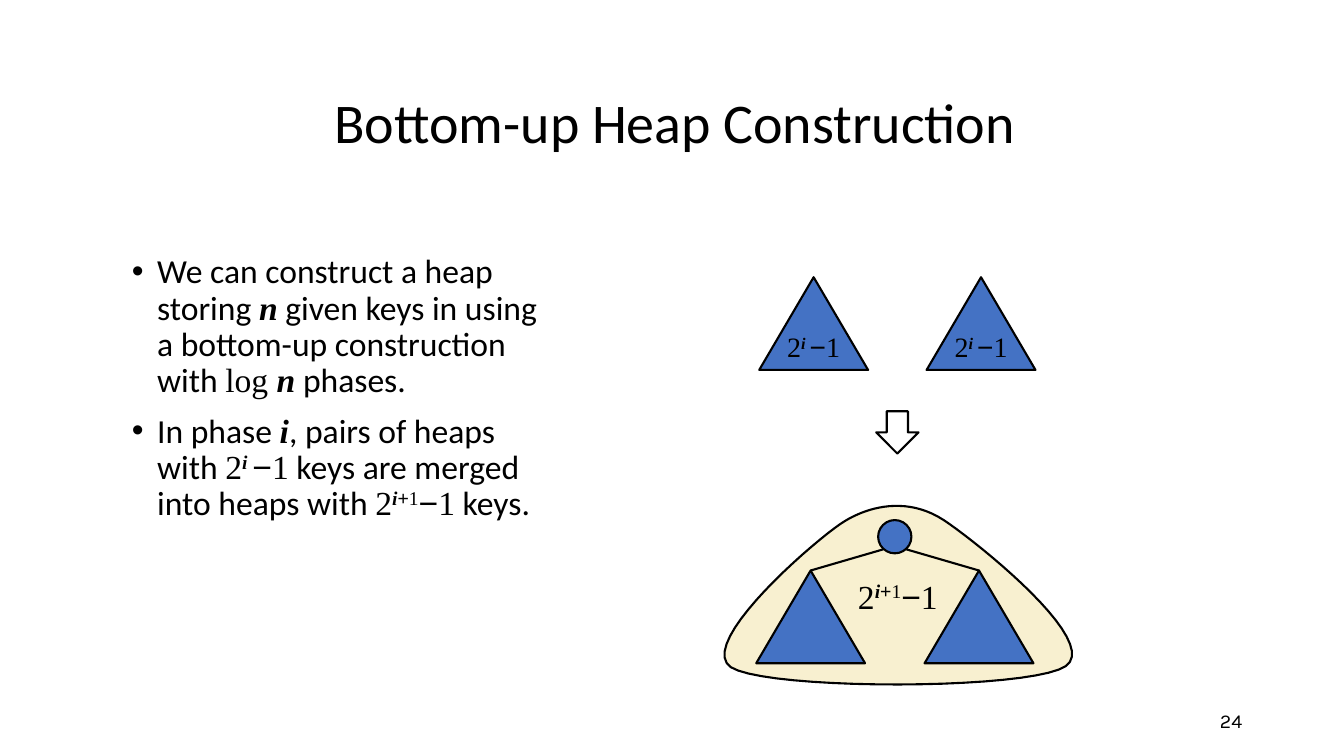
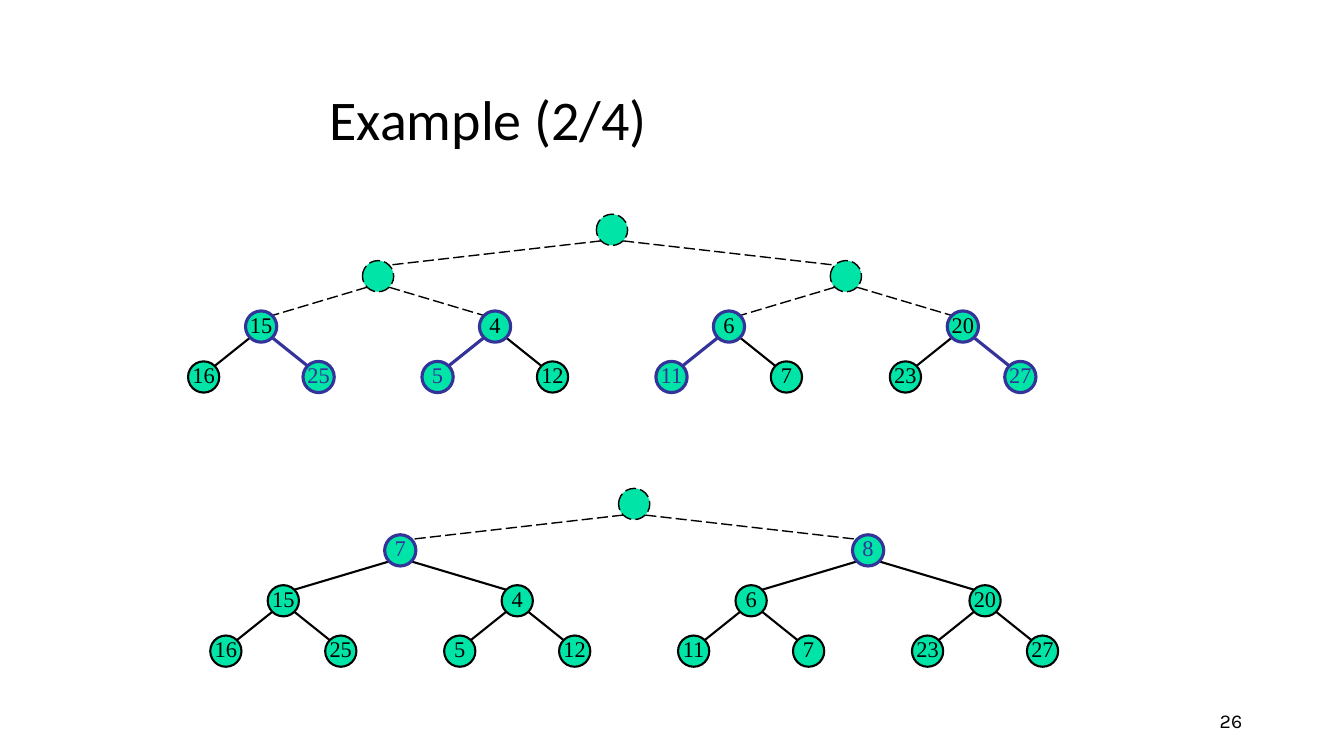
from lxml import etree
from pptx import Presentation
from pptx.dml.color import RGBColor
from pptx.enum.dml import MSO_LINE
from pptx.enum.shapes import MSO_CONNECTOR, MSO_SHAPE
from pptx.enum.text import MSO_ANCHOR, PP_ALIGN
from pptx.oxml.ns import qn
from pptx.util import Inches, Pt

TRIANGLE, ELLIPSE = MSO_SHAPE.ISOSCELES_TRIANGLE, MSO_SHAPE.OVAL
DOWN_ARROW, STRAIGHT = MSO_SHAPE.DOWN_ARROW, MSO_CONNECTOR.STRAIGHT
LONG_DASH = MSO_LINE.LONG_DASH
TOP, MIDDLE = MSO_ANCHOR.TOP, MSO_ANCHOR.MIDDLE
LEFT, CENTER, RIGHT = PP_ALIGN.LEFT, PP_ALIGN.CENTER, PP_ALIGN.RIGHT

BLACK = RGBColor(0x00, 0x00, 0x00)
BLUE = RGBColor(0x44, 0x72, 0xC4)
CREAM = RGBColor(0xF8, 0xF0, 0xD0)
GREEN = RGBColor(0x00, 0xE4, 0xA8)
INDIGO = RGBColor(0x33, 0x33, 0x99)

SANS, SERIF, SIGN, NUMBER = "Calibri", "Times New Roman", "Arial", "Karla"

# Line styles: colour, width in points, dash
SOLID = (BLACK, 1.5, None)
ACTIVE = (INDIGO, 2.25, None)
PENDING = (BLACK, 1, LONG_DASH)

# Run styles: font, bold italic, superscript
PLAIN = (SANS, False, False)
MATH = (SERIF, False, False)
VARIABLE = (SERIF, True, False)
MINUS = (SIGN, False, False)
POWER = (SERIF, False, True)
POWER_VARIABLE = (SERIF, True, True)
POWER_SIGN = (SIGN, False, True)

HEAP_SIZE = [("2", MATH), ("i ", POWER_VARIABLE), ("−", MINUS), ("1", MATH)]
MERGED_SIZE = [("2", MATH), ("i", POWER_VARIABLE), ("+", POWER_SIGN),
               ("1", POWER), ("−", MINUS), ("1", MATH)]


class Deck:
    def __init__(self):
        self.presentation = Presentation()
        self.presentation.slide_width = Inches(13.33)
        self.presentation.slide_height = Inches(7.5)
        self.slide = None

    def new_slide(self, title, title_box, number):
        blank = self.presentation.slide_layouts[6]
        self.slide = self.presentation.slides.add_slide(blank)
        self.text([(title, PLAIN)], title_box, 40, anchor=MIDDLE, spacing=0.9)
        self.text([(number, (NUMBER, False, False))], (9.42, 6.95, 3, 0.4),
                  14, align=RIGHT, anchor=MIDDLE)

    def add_runs(self, paragraph, runs, size, color=BLACK, align=LEFT):
        paragraph.alignment = align
        paragraph.font.size = Pt(size)
        paragraph.font.color.rgb = color
        for words, (font, emphasis, raised) in runs:
            run = paragraph.add_run()
            run.text = words
            run.font.name = font
            if emphasis:
                run.font.bold = run.font.italic = True
            if raised:
                run._r.get_or_add_rPr().set("baseline", "30000")

    def text_frame(self, box, anchor=TOP, wrap=True):
        frame = self.slide.shapes.add_textbox(*map(Inches, box)).text_frame
        frame.word_wrap = wrap
        frame.vertical_anchor = anchor
        return frame

    def text(self, runs, box, size, align=LEFT, anchor=TOP, wrap=True,
             spacing=1.0):
        paragraph = self.text_frame(box, anchor, wrap).paragraphs[0]
        paragraph.line_spacing = spacing
        self.add_runs(paragraph, runs, size, align=align)

    def bullets(self, items, box, size):
        frame = self.text_frame(box)
        for index, runs in enumerate(items):
            paragraph = frame.add_paragraph() if index else frame.paragraphs[0]
            paragraph.line_spacing = 0.9
            paragraph.space_before = Pt(10)
            properties = paragraph._p.get_or_add_pPr()
            properties.set("marL", str(Inches(0.25)))
            properties.set("indent", str(-Inches(0.25)))
            etree.SubElement(properties, qn("a:buFont")).set("typeface", SIGN)
            etree.SubElement(properties, qn("a:buChar")).set("char", "•")
            self.add_runs(paragraph, runs, size)

    def stroke(self, line, style):
        color, width, dash = style
        line.color.rgb = color
        line.width = Pt(width)
        if dash:
            line.dash_style = dash

    def finish(self, shape, fill, style):
        shape.shadow.inherit = False
        if fill is None:
            shape.fill.background()
        else:
            shape.fill.solid()
            shape.fill.fore_color.rgb = fill
        self.stroke(shape.line, style)

    def shape(self, kind, box, fill=None, style=SOLID, runs=(), size=20,
              color=BLACK, insets=None):
        shape = self.slide.shapes.add_shape(kind, *map(Inches, box))
        self.finish(shape, fill, style)
        if runs:
            frame = shape.text_frame
            frame.word_wrap = False
            frame.vertical_anchor = MIDDLE
            if insets:
                (frame.margin_left, frame.margin_top, frame.margin_right,
                 frame.margin_bottom) = map(Inches, insets)
            self.add_runs(frame.paragraphs[0], runs, size, color, CENTER)

    def curved_outline(self, start, curves, fill, steps=20):
        """Closed outline; each curve is two control points and an end."""
        points, origin = [], start
        for first, second, end in curves:
            for step in range(1, steps + 1):
                t = step / steps
                weights = ((1 - t) ** 3, 3 * t * (1 - t) ** 2,
                           3 * t * t * (1 - t), t ** 3)
                corners = (origin, first, second, end)
                points.append(tuple(
                    Inches(sum(w * corner[axis] for w, corner in zip(weights, corners)))
                    for axis in (0, 1)))
            origin = end
        builder = self.slide.shapes.build_freeform(*map(Inches, start))
        builder.add_line_segments(points, close=True)
        self.finish(builder.convert_to_shape(), fill, SOLID)

    def line(self, start, end, style=SOLID):
        connector = self.slide.shapes.add_connector(
            STRAIGHT, *map(Inches, (*start, *end)))
        self.stroke(connector.line, style)
        etree.SubElement(connector._element.spPr, qn("a:effectLst"))

    def heap_tree(self, root_x, root_y, keys, merged=(), moved=()):
        """Keys are in level order; None marks a node not yet filled."""
        diameter, joint = 0.31, 0.11
        offsets, depths = (0, 2.32, 1.16, 0.57), (0, 0.46, 0.96, 1.46)
        centers = [(root_x, root_y)]
        for index in range(1, len(keys)):
            level = (index + 1).bit_length() - 1
            side = -1 if index % 2 else 1
            parent = (index - 1) // 2
            parent_x, parent_y = centers[parent]
            x = parent_x + side * offsets[level]
            y = root_y + depths[level]
            centers.append((x, y))
            if keys[parent] is None:
                style = PENDING
            else:
                style = ACTIVE if index in moved else SOLID
            self.line((parent_x + side * joint, parent_y + joint),
                      (x - side * joint, y - joint), style)
        for index, (key, (x, y)) in enumerate(zip(keys, centers)):
            box = (x - diameter / 2, y - diameter / 2, diameter, diameter)
            if key is None:
                self.shape(ELLIPSE, box, GREEN, PENDING)
                continue
            active = index in merged or index in moved
            self.shape(ELLIPSE, box, GREEN, ACTIVE if active else SOLID,
                       [(str(key), MATH)], 16,
                       INDIGO if index in moved else BLACK, (0, 0, 0, 0.05))


deck = Deck()

# Slide 1: construction by merging pairs of heaps
deck.new_slide("Bottom-up Heap Construction", (3.22, 0.62, 7.03, 1.25), "24")
deck.bullets([
    [("We can construct a heap storing ", PLAIN), ("n", VARIABLE),
     (" given keys in using a bottom-up construction with ", PLAIN),
     ("log ", MATH), ("n", VARIABLE), (" phases.", PLAIN)],
    [("In phase ", PLAIN), ("i", VARIABLE), (", pairs of heaps with ", PLAIN),
     *HEAP_SIZE, (" keys are merged into heaps with ", PLAIN),
     *MERGED_SIZE, (" keys.", PLAIN)],
], (1.21, 2.48, 4.25, 4.67), 24)

# Two separate heaps
for heap_x in (7.53, 9.19):
    deck.shape(TRIANGLE, (heap_x, 2.75, 1.08, 0.92), BLUE, runs=HEAP_SIZE)
deck.shape(DOWN_ARROW, (8.69, 4.08, 0.42, 0.42))

# Merged heap
deck.curved_outline((8.38, 5.17), [
    ((8.14, 5.31), (6.89, 6.38), (7.25, 6.62)),
    ((7.61, 6.85), (10.21, 6.85), (10.57, 6.61)),
    ((10.92, 6.37), (9.72, 5.4), (9.36, 5.16)),
    ((8.99, 4.92), (8.61, 5.03), (8.38, 5.17)),
], CREAM)
for subheap_x in (7.5, 9.17):
    deck.shape(TRIANGLE, (subheap_x, 5.66, 1.08, 0.92), BLUE)
deck.shape(ELLIPSE, (8.71, 5.16, 0.33, 0.33), BLUE)
for root_side, subheap_top in ((8.76, 8.04), (8.99, 9.71)):
    deck.line((root_side, 5.45), (subheap_top, 5.66))
deck.text(MERGED_SIZE, (8.4, 5.66, 1.01, 0.5), 24, align=CENTER, wrap=False)

# Slide 2: a merging phase before and after the next roots are added
deck.new_slide("Example (2/4)", (3.17, 0.75, 5.49, 0.92), "26")
lower_keys = [15, 4, 6, 20, 16, 25, 5, 12, 11, 7, 23, 27]
deck.heap_tree(6.07, 2.28, [None, None, None, *lower_keys],
               merged=(3, 4, 5, 6), moved=(8, 9, 11, 14))
deck.heap_tree(6.29, 5, [None, 7, 8, *lower_keys], moved=(1, 2))

deck.presentation.save("out.pptx")
